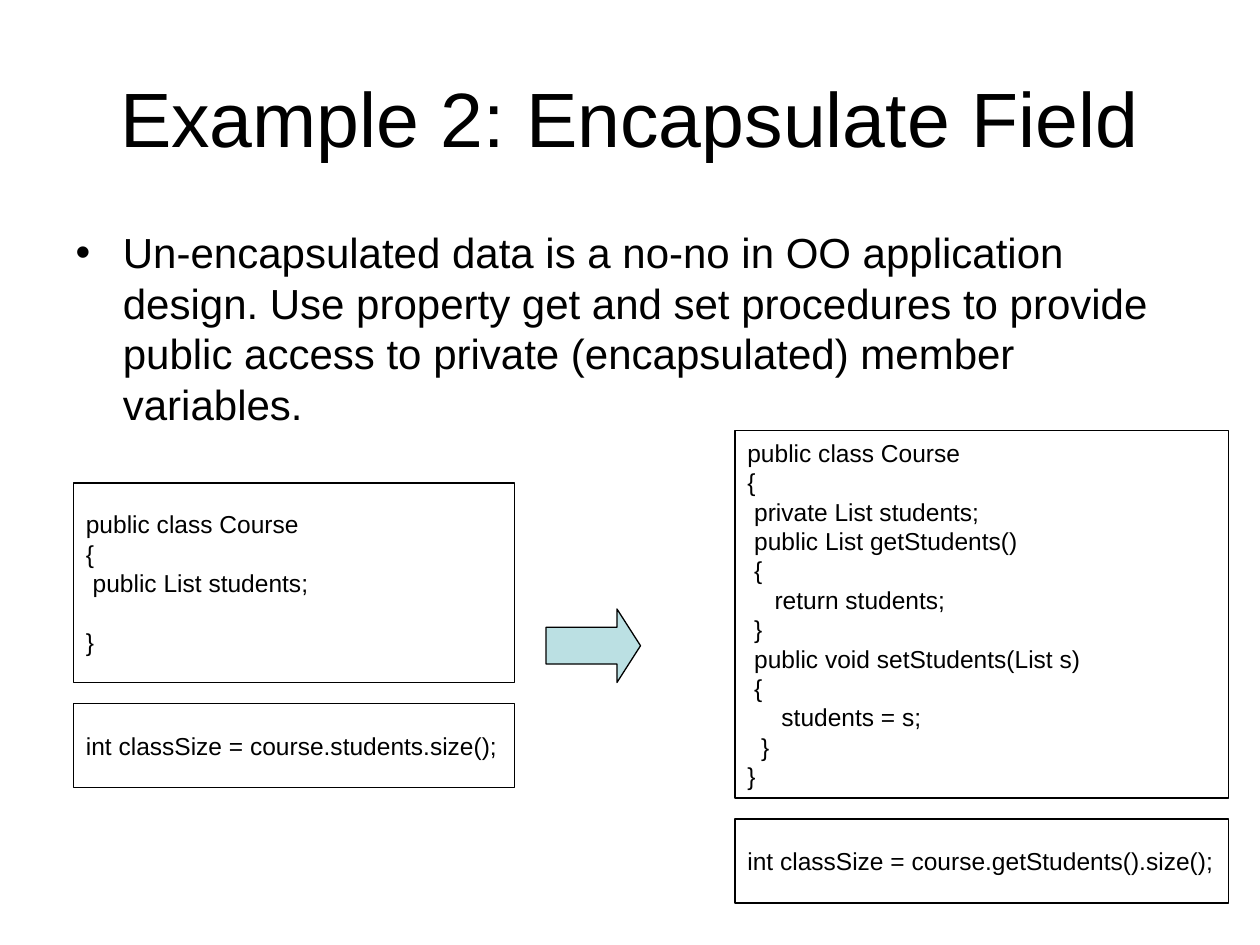
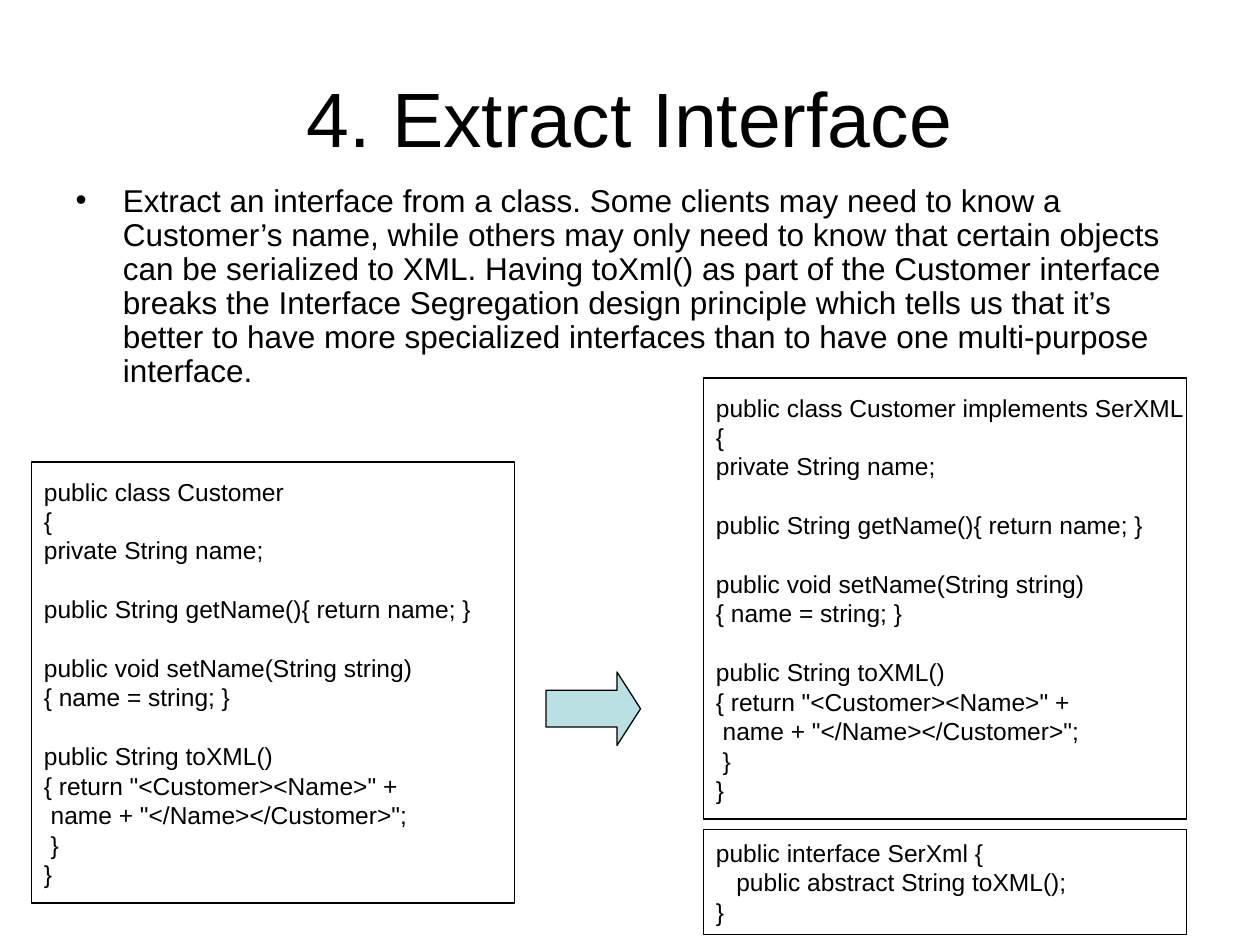
"""Build two refactoring slides: Encapsulate Field and Extract Interface."""
import pptx
import pptx.dml.color
import pptx.enum.shapes
import pptx.enum.text
import pptx.util

PX = 9525
FONT = "Arial"
CODE_SIZE = 14
CODE_LINE = 16.8
SPACE_WIDTH = 0.278 * CODE_SIZE
COLORS = {"text": "000000", "line": "000000", "arrow": "BBE0E3"}
SHAPES = pptx.enum.shapes.MSO_SHAPE
ANCHOR = pptx.enum.text.MSO_ANCHOR

CUSTOMER = """
{
private String name;

public String getName(){ return name; }

public void setName(String string)
{ name = string; }

public String toXML()
{ return "<Customer><Name>" +
 name + "</Name></Customer>";
 }
}"""

COURSE_BEFORE = """public class Course
{
 public List students;

}"""

COURSE_AFTER = """public class Course
{
 private List students;
 public List getStudents()
 {
    return students;
 }
 public void setStudents(List s)
 {
     students = s;
  }
}"""

SERXML = """public interface SerXml {
   public abstract String toXML();
}"""

SLIDES = [
    {
        "title": "Example 2: Encapsulate Field",
        "body": "Un-encapsulated data is a no-no in OO application design. "
                "Use property get and set procedures to provide public access "
                "to private (encapsulated) member variables.",
        "body_top": 168, "size": 24, "before": 6, "spacing": 1.0,
        "arrow_top": 464,
        "code": [
            ((56, 368, 336, 152), COURSE_BEFORE),
            ((56, 536, 336, 64), "int classSize = course.students.size();"),
            ((560, 328, 376, 280), COURSE_AFTER),
            ((560, 624, 376, 64), "int classSize = course.getStudents().size();"),
        ],
    },
    {
        "title": "4. Extract Interface",
        "body": "Extract an interface from a class. Some clients may need to "
                "know a Customer’s name, while others may only need to know "
                "that certain objects can be serialized to XML. Having toXml() "
                "as part of the Customer interface breaks the Interface "
                "Segregation design principle which tells us that it’s better "
                "to have more specialized interfaces than to have one "
                "multi-purpose interface.",
        "body_top": 136, "size": 18, "before": 4.5, "spacing": 0.9,
        "arrow_top": 512,
        "code": [
            ((24, 352, 368, 336), "public class Customer" + CUSTOMER),
            ((536, 288, 368, 336),
             "public class Customer implements SerXML" + CUSTOMER),
            ((536, 632, 368, 80), SERXML),
        ],
    },
]


def set_font(p, size):
    p.font.name = FONT
    p.font.size = pptx.util.Pt(size)
    p.font.color.rgb = pptx.dml.color.RGBColor.from_string(COLORS["text"])


def add_outlined(s, kind, box):
    sp = s.shapes.add_shape(kind, *(v * PX for v in box))
    sp.shadow.inherit = False
    sp.line.color.rgb = pptx.dml.color.RGBColor.from_string(COLORS["line"])
    sp.line.width = pptx.util.Pt(0.75)
    return sp


prs = pptx.Presentation()
prs.slide_width, prs.slide_height = 960 * PX, 720 * PX

for spec_slide in SLIDES:
    s = prs.slides.add_slide(prs.slide_layouts[1])
    title, body = s.placeholders
    for sp, text, size, box in (
        (title, spec_slide["title"], 44, (48, 29, 864, 120)),
        (body, spec_slide["body"], spec_slide["size"],
         (48, spec_slide["body_top"], 864, 475)),
    ):
        sp.left, sp.top, sp.width, sp.height = (v * PX for v in box)
        sp.text_frame.text = text
        sp.text_frame.auto_size = pptx.enum.text.MSO_AUTO_SIZE.NONE
        set_font(sp.text_frame.paragraphs[0], size)
    title.text_frame.vertical_anchor = ANCHOR.MIDDLE
    p = body.text_frame.paragraphs[0]
    p.space_before = pptx.util.Pt(spec_slide["before"])
    p.line_spacing = spec_slide["spacing"]

    for box, code in spec_slide["code"]:
        sp = add_outlined(s, SHAPES.RECTANGLE, box)
        sp.fill.background()
        tf = sp.text_frame
        tf.word_wrap = False
        tf.vertical_anchor = ANCHOR.MIDDLE
        p, gap = tf.paragraphs[0], 0
        for line in code.split("\n"):
            if not line:
                gap = CODE_LINE
                continue
            if p.text:
                p = tf.add_paragraph()
            p.text = line.lstrip()
            p.alignment = pptx.enum.text.PP_ALIGN.LEFT
            p.space_before = pptx.util.Pt(gap)
            indent = (len(line) - len(p.text)) * SPACE_WIDTH
            p._p.get_or_add_pPr().set("marL", str(int(pptx.util.Pt(indent))))
            set_font(p, CODE_SIZE)
            gap = 0

    sp = add_outlined(s, SHAPES.RIGHT_ARROW, (416, spec_slide["arrow_top"], 72, 56))
    sp.fill.solid()
    sp.fill.fore_color.rgb = pptx.dml.color.RGBColor.from_string(COLORS["arrow"])
    sp.adjustments[0], sp.adjustments[1] = 0.5, 0.32

prs.save("out.pptx")
